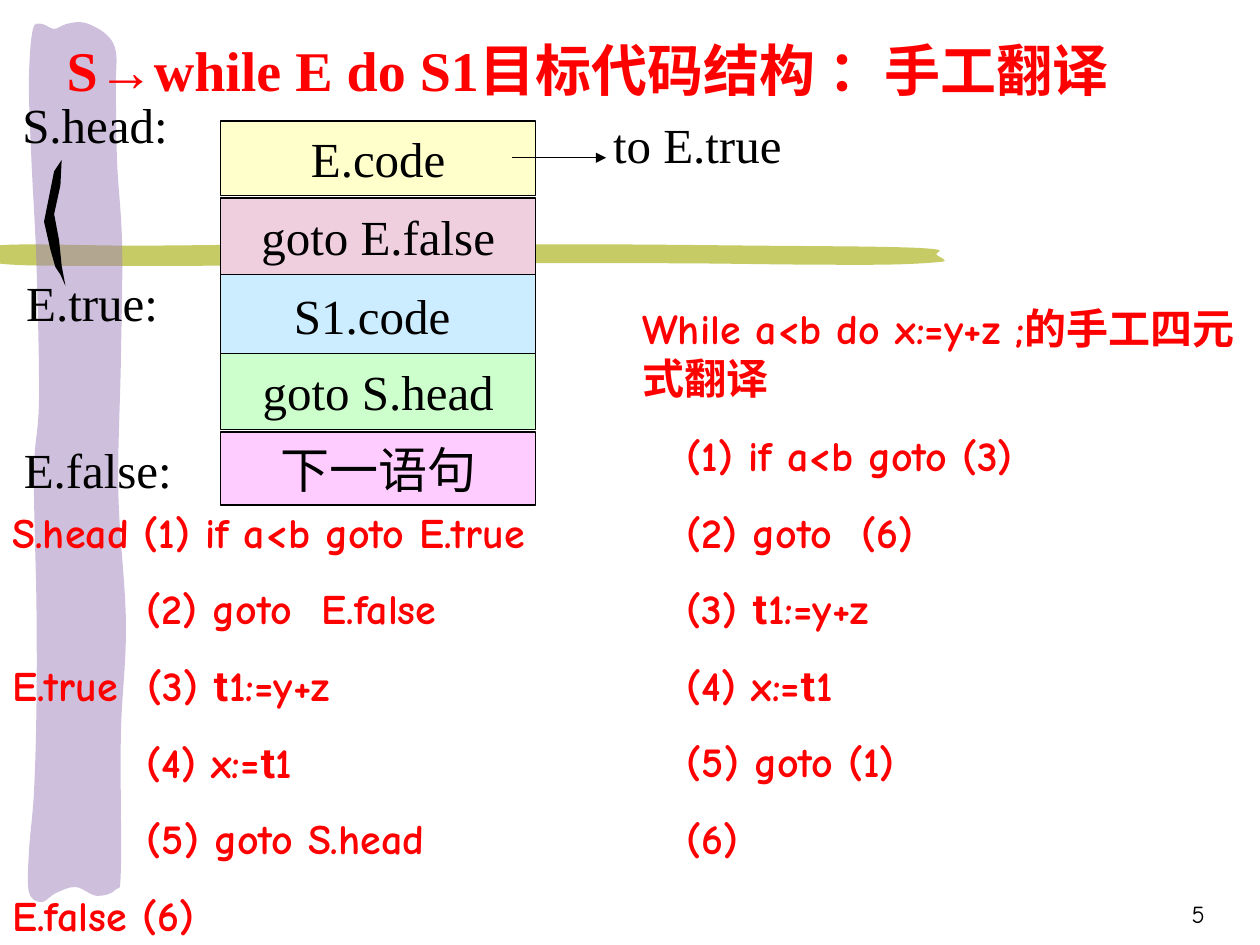
from lxml.etree import SubElement
from pptx import Presentation
from pptx.dml.color import RGBColor
from pptx.enum.shapes import MSO_CONNECTOR, MSO_SHAPE
from pptx.enum.text import MSO_ANCHOR as Anchor, MSO_AUTO_SIZE, PP_ALIGN as Align
from pptx.oxml.ns import qn
from pptx.util import Cm, Pt

BLACK, RED = "000000", "FF0000"
SERIF, COMIC, SLAB = "Times New Roman", "Comic Neue", "Roboto Slab"

TITLE = "S→while E do S1目标代码结构 ：手工翻译"
BLOCK_LEFT, BLOCK_WIDTH = 4.45, 6.35
CODE_BLOCKS = [  # text, fill, top and height in cm
    ("E.code", "FFFFCC", 2.44, 1.5),
    ("goto E.false", "EFCEDE", 3.99, 1.55),
    ("S1.code ", "CCECFF", 5.54, 1.6),
    ("goto S.head", "CCFFCC", 7.12, 1.54),
    ("下一语句", "FFCCFF", 8.71, 1.47),
]
LABELS = [  # text, left, top, width in cm
    ("S.head:", 0.2, 1.79, 4.45),
    ("E.true:", 0.28, 5.36, 4.01),
    ("E.false:", 0.23, 8.74, 4.01),
    ("to E.true", 12.11, 2.18, 4.88),
]
# Quadruples: indent in cm, text; parts between bars are set in the slab font
SYMBOLIC_CODE = [
    (0, "S.head (1) if a<b goto E.true"),
    (2.71, "(2) goto  E.false"),
    (0, "E.true  (3) |t|1:=y+z"),
    (2.71, "(4) x:=|t|1"),
    (2.71, "(5) goto S.head"),
    (0, "E.false (6)"),
]
NUMBERED_CODE = [
    (0, "While a<b do x:=y+z ;的手工四元式翻译"),
    (0.9, "(1) if a<b goto (3)"),
    (0.9, "(2) goto  (6)"),
    (0.9, "(3) |t|1:=y+z"),
    (0.9, "(4) x:=|t|1"),
    (0.9, "(5) goto (1)"),
    (0.9, "(6)"),
]

# Brush strokes: outlines in hundredths of an inch
STROKE_UNIT = 0.0254
GREEN_STROKE = [
    (601, 195), (702, 196), (743, 198), (743, 202), (749, 206), (745, 208),
    (706, 210), (635, 210), (541, 209), (414, 209), (298, 210), (111, 211),
    (-2, 209), (-3, 195), (111, 195), (232, 194), (391, 194), (489, 194),
]
PURPLE_STROKE = [
    (29, 561), (29, 481), (27, 375), (31, 317), (29, 210), (25, 127), (23, 65),
    (26, 24), (33, 19), (43, 23), (53, 19), (67, 18), (84, 27), (92, 41),
    (92, 71), (93, 129), (97, 195), (96, 286), (94, 391), (100, 495), (96, 583),
    (96, 690), (92, 706), (77, 711), (60, 704), (44, 709), (33, 716), (23, 708),
    (23, 676), (27, 629),
]
BLACK_STROKE = [
    (49, 127), (48, 147), (43, 170), (47, 191), (49, 211), (52, 227), (48, 218),
    (44, 212), (40, 198), (35, 176), (39, 156), (43, 136),
]


def color(value):
    return RGBColor.from_string(value)


def smooth(shape):
    """Turn the straight segments of a closed outline into Bezier curves."""
    segments = list(shape.element.iter(qn("a:lnTo")))
    ends = [(int(s[0].get("x")), int(s[0].get("y"))) for s in segments]
    count = len(ends)
    for i, segment in enumerate(segments):
        p0, p1, p2, p3 = (ends[(i + k) % count] for k in (-2, -1, 0, 1))
        leave = [b + (c - a) / 6 for a, b, c in zip(p0, p1, p2)]
        arrive = [c - (d - b) / 6 for b, c, d in zip(p1, p2, p3)]
        segment.tag = qn("a:cubicBezTo")
        segment.remove(segment[0])
        for x, y in (leave, arrive, p2):
            SubElement(segment, qn("a:pt"), x=str(round(x)), y=str(round(y)))


def add_stroke(slide, points, fill, opacity=None, curved=True):
    outline = [(Cm(x * STROKE_UNIT), Cm(y * STROKE_UNIT)) for x, y in points]
    builder = slide.shapes.build_freeform(*outline[0])
    builder.add_line_segments(outline[1:] + outline[:1], close=True)
    shape = builder.convert_to_shape()
    if curved:
        smooth(shape)
    shape.shadow.inherit = False
    shape.fill.solid()
    shape.fill.fore_color.rgb = color(fill)
    shape.line.fill.background()
    if opacity:
        fill_color = shape.element.spPr.find(qn("a:solidFill"))[0]
        SubElement(fill_color, qn("a:alpha"), val=str(opacity * 1000))


def write(shape, rows, size=28, font=SERIF, ink=BLACK, bold=False, align=Align.LEFT,
          anchor=Anchor.TOP, wrap=True, before=0):
    """Fill the shape with rows, each an (indent, text) pair."""
    frame = shape.text_frame
    frame.auto_size = MSO_AUTO_SIZE.NONE
    frame.word_wrap = wrap
    frame.vertical_anchor = anchor
    for i, (indent, text) in enumerate(rows):
        paragraph = frame.add_paragraph() if i else frame.paragraphs[0]
        paragraph.alignment = align
        paragraph.space_before = Pt(before)
        if indent:
            properties = paragraph._p.get_or_add_pPr()
            properties.set("marL", str(Cm(indent)))
            properties.set("indent", "0")
        for j, part in enumerate(text.split("|")):
            run = paragraph.add_run()
            run.text = part
            run.font.size = Pt(size)
            run.font.name = SLAB if j % 2 else font
            run.font.bold = bold
            run.font.color.rgb = color(ink)


def add_text(slide, rows, left, top, width, height, **style):
    box = slide.shapes.add_textbox(Cm(left), Cm(top), Cm(width), Cm(height))
    write(box, rows, **style)


def add_block(slide, text, fill, top, height):
    shape = slide.shapes.add_shape(
        MSO_SHAPE.RECTANGLE, Cm(BLOCK_LEFT), Cm(top), Cm(BLOCK_WIDTH), Cm(height))
    shape.shadow.inherit = False
    shape.fill.solid()
    shape.fill.fore_color.rgb = color(fill)
    shape.line.color.rgb = color(BLACK)
    shape.line.width = Pt(0.75)
    write(shape, [(0, text)], align=Align.CENTER, anchor=Anchor.MIDDLE, wrap=False)


def add_arrow(slide, x1, y1, x2, y2):
    arrow = slide.shapes.add_connector(MSO_CONNECTOR.STRAIGHT, Cm(x1), Cm(y1), Cm(x2), Cm(y2))
    arrow.line.color.rgb = color(BLACK)
    arrow.line.width = Pt(0.75)
    SubElement(arrow.line._get_or_add_ln(), qn("a:tailEnd"), type="triangle")
    SubElement(arrow.element.spPr, qn("a:effectLst"))


def place_title(slide):
    title = slide.shapes.title
    title.left, title.top, title.width, title.height = Cm(1.09), Cm(0.58), Cm(21.82), Cm(1.63)
    write(title, [(0, TITLE)], size=32, ink=RED, bold=True, wrap=False)
    title.element.getparent().append(title.element)  # in front of the strokes


def main():
    presentation = Presentation()
    presentation.slide_width, presentation.slide_height = Cm(25.4), Cm(19.05)
    slide = presentation.slides.add_slide(presentation.slide_layouts[5])

    add_stroke(slide, GREEN_STROKE, "C6CB65")
    add_stroke(slide, PURPLE_STROKE, "9F83BD", opacity=50)
    add_stroke(slide, BLACK_STROKE, BLACK, curved=False)
    add_text(slide, [(0, "5")], 19.26, 17.58, 5.28, 1.27, size=14, font=COMIC,
             align=Align.RIGHT, anchor=Anchor.BOTTOM)

    for block in CODE_BLOCKS:
        add_block(slide, *block)
    for text, left, top, width in LABELS:
        add_text(slide, [(0, text)], left, top, width, 1.45)
    add_arrow(slide, 10.32, 3.18, 12.22, 3.18)

    place_title(slide)
    code_style = dict(size=24, font=COMIC, ink=RED, bold=True, before=15)
    add_text(slide, NUMBERED_CODE, 12.7, 5.97, 12.7, 13.08, **code_style)
    add_text(slide, SYMBOLIC_CODE, 0, 10.08, 12.9, 8.97, **code_style)

    presentation.save("out.pptx")


if __name__ == "__main__":
    main()
